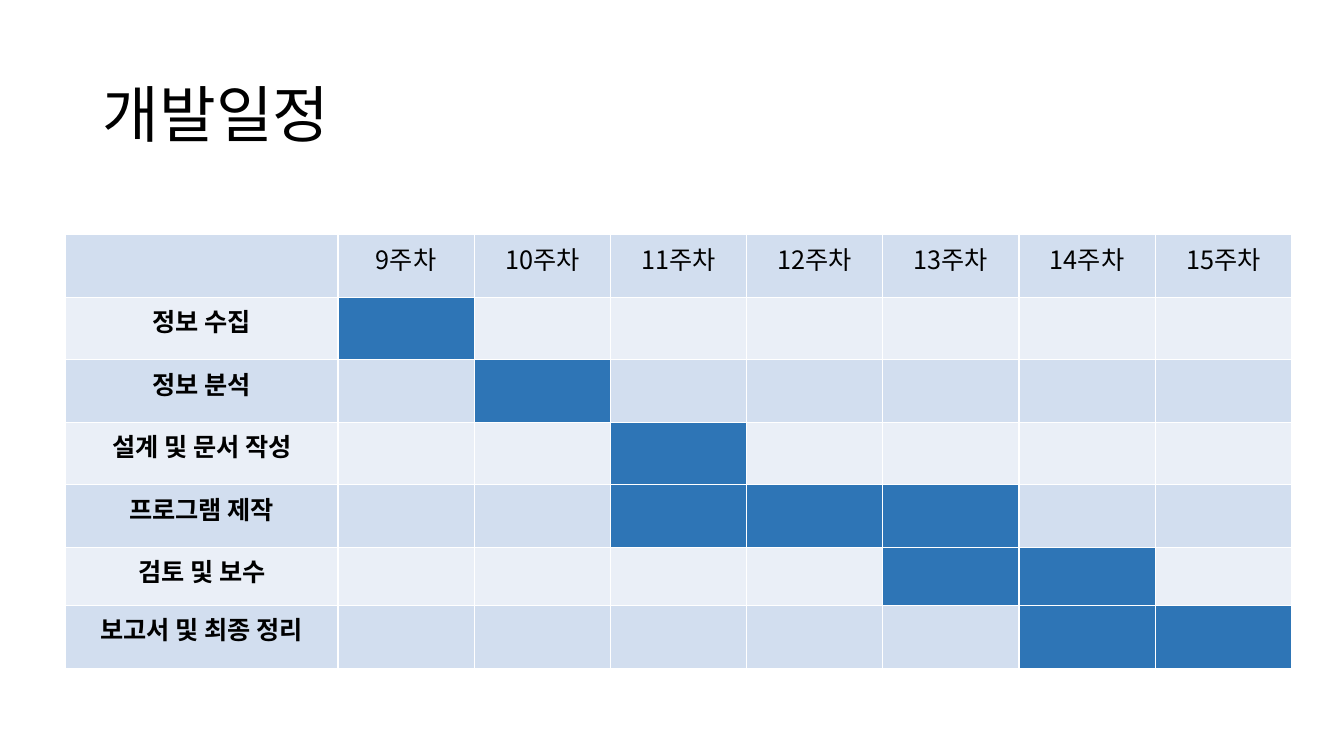
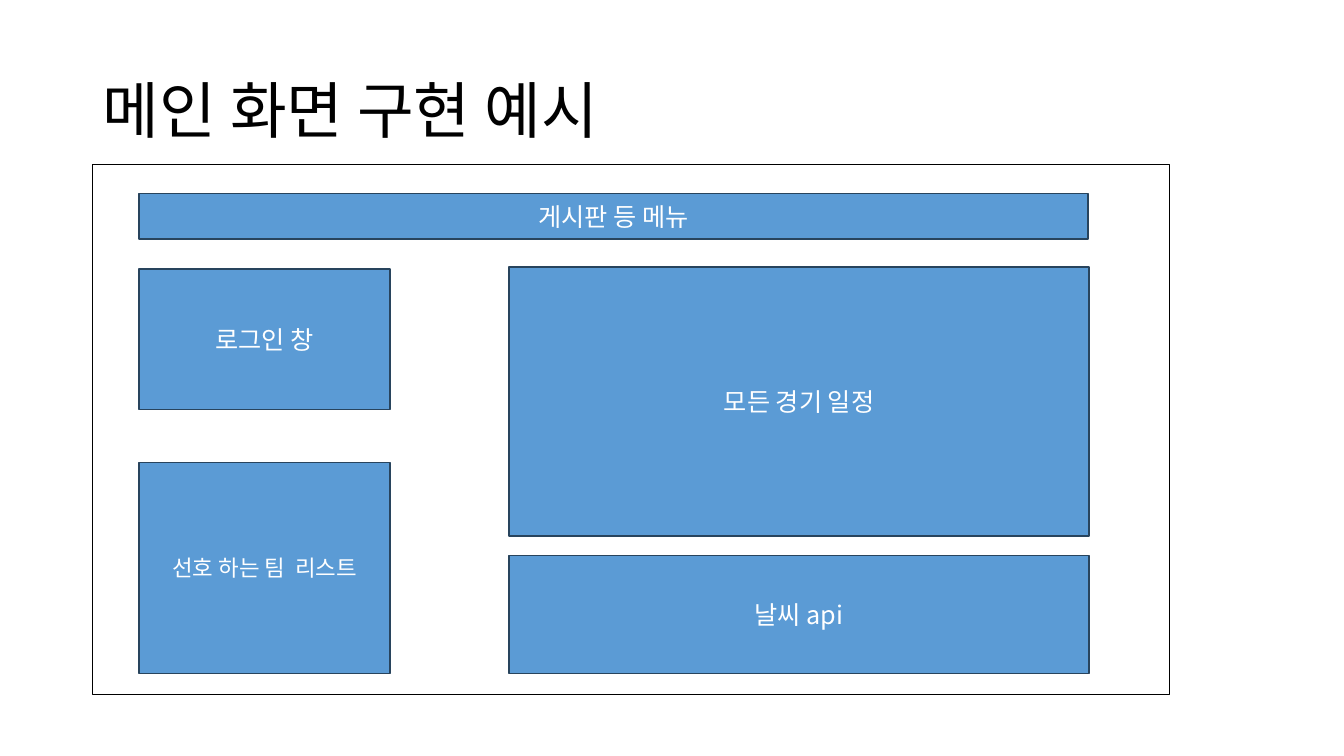
from lxml import etree
from pptx import Presentation
from pptx.dml.color import RGBColor
from pptx.enum import shapes, text
from pptx.oxml.ns import qn
from pptx.util import Inches, Pt

FONT = "Noto Sans CJK KR"
BLACK = RGBColor(0x00, 0x00, 0x00)
WHITE = RGBColor(0xFF, 0xFF, 0xFF)
BAND_DARK = RGBColor(0xD2, 0xDE, 0xEF)
BAND_LIGHT = RGBColor(0xEA, 0xEF, 0xF7)
BUSY = RGBColor(0x2E, 0x75, 0xB6)
PANEL = RGBColor(0x5B, 0x9B, 0xD5)
PANEL_LINE = RGBColor(0x28, 0x44, 0x5D)

WEEKS = range(9, 16)
TASKS = [
    ("정보 수집", 9, 9),
    ("정보 분석", 10, 10),
    ("설계 및 문서 작성", 11, 11),
    ("프로그램 제작", 11, 13),
    ("검토 및 보수", 13, 14),
    ("보고서 및 최종 정리", 14, 15),
]
ROW_HEIGHTS = [0.62, 0.62, 0.62, 0.62, 0.62, 0.58, 0.62]
PANELS = [
    ("모든 경기 일정", 4.13, 1.02, 5.75, 2.67, 18),
    ("날씨 api", 4.13, 3.88, 5.75, 1.17, 18),
    ("게시판 등 메뉴", 0.46, 0.29, 9.41, 0.45, 18),
    ("로그인 창", 0.46, 1.04, 2.49, 1.39, 18),
    ("선호 하는 팀  리스트", 0.46, 2.96, 2.49, 2.09, 16),
]


def write(frame, content, size, color, alignment=text.PP_ALIGN.CENTER, bold=False):
    """Put one styled paragraph into a text frame and return it."""
    frame.text = content
    paragraph = frame.paragraphs[0]
    paragraph.alignment = alignment
    font = paragraph.font
    font.size, font.bold = Pt(size), bold
    font.color.rgb = color
    font.name = FONT
    properties = paragraph._p.pPr.find(qn("a:defRPr"))
    etree.SubElement(properties, qn("a:ea"), typeface=FONT)
    return paragraph


def add_titled_slide(presentation, title, top):
    """Add a title-only slide with the shared title style."""
    slide = presentation.slides.add_slide(presentation.slide_layouts[5])
    shape = slide.shapes.title
    shape.left, shape.top = Inches(0.92), Inches(top)
    shape.width, shape.height = Inches(11.5), Inches(1.45)
    shape.text_frame.vertical_anchor = text.MSO_ANCHOR.MIDDLE
    paragraph = write(shape.text_frame, title, 44, BLACK, text.PP_ALIGN.LEFT)
    paragraph.line_spacing = 0.9
    return slide


def fill_cell(cell, color, content="", bold=False):
    """Colour a table cell and write its label, if any."""
    cell.fill.solid()
    cell.fill.fore_color.rgb = color
    if content:
        write(cell.text_frame, content, 18, BLACK, bold=bold)


def add_schedule(slide, left, top, width, height):
    """Draw the weekly schedule table, its task column two weeks wide."""
    table = slide.shapes.add_table(
        len(TASKS) + 1, len(WEEKS) + 1,
        Inches(left), Inches(top), Inches(width), Inches(height)).table
    table.first_row = table.horz_banding = False
    week_width = width / (len(WEEKS) + 2)
    for index, column in enumerate(table.columns):
        column.width = Inches(week_width if index else 2 * week_width)
    for row, row_height in zip(table.rows, ROW_HEIGHTS):
        row.height = Inches(row_height)

    fill_cell(table.cell(0, 0), BAND_DARK)
    for column, week in enumerate(WEEKS, 1):
        fill_cell(table.cell(0, column), BAND_DARK, f"{week}주차")
    for row, (task, first, last) in enumerate(TASKS, 1):
        band = BAND_LIGHT if row % 2 else BAND_DARK
        fill_cell(table.cell(row, 0), band, task, bold=True)
        for column, week in enumerate(WEEKS, 1):
            fill_cell(table.cell(row, column), BUSY if first <= week <= last else band)


def add_box(group, left, top, width, height, fill, line):
    """Add a flat outlined rectangle to a group."""
    shape = group.shapes.add_shape(
        shapes.MSO_SHAPE.RECTANGLE,
        Inches(left), Inches(top), Inches(width), Inches(height))
    shape.shadow.inherit = False
    shape.fill.solid()
    shape.fill.fore_color.rgb = fill
    shape.line.color.rgb = line
    shape.line.width = Pt(1)
    return shape


def add_screen(slide, left, top, width, height):
    """Draw the main screen mock-up with its panels inside the frame."""
    group = slide.shapes.add_group_shape()
    add_box(group, left, top, width, height, WHITE, BLACK)
    for label, x, y, panel_width, panel_height, size in PANELS:
        panel = add_box(group, left + x, top + y, panel_width, panel_height,
                        PANEL, PANEL_LINE)
        panel.text_frame.vertical_anchor = text.MSO_ANCHOR.MIDDLE
        write(panel.text_frame, label, size, WHITE)


def main():
    """Build and save the presentation."""
    presentation = Presentation()
    presentation.slide_width, presentation.slide_height = Inches(13.33), Inches(7.5)
    add_schedule(add_titled_slide(presentation, "개발일정", 0.44), 0.65, 2.33, 12.16, 4.3)
    add_screen(add_titled_slide(presentation, "메인 화면 구현 예시", 0.4),
               0.92, 1.63, 10.68, 5.26)
    presentation.save("out.pptx")


if __name__ == "__main__":
    main()
